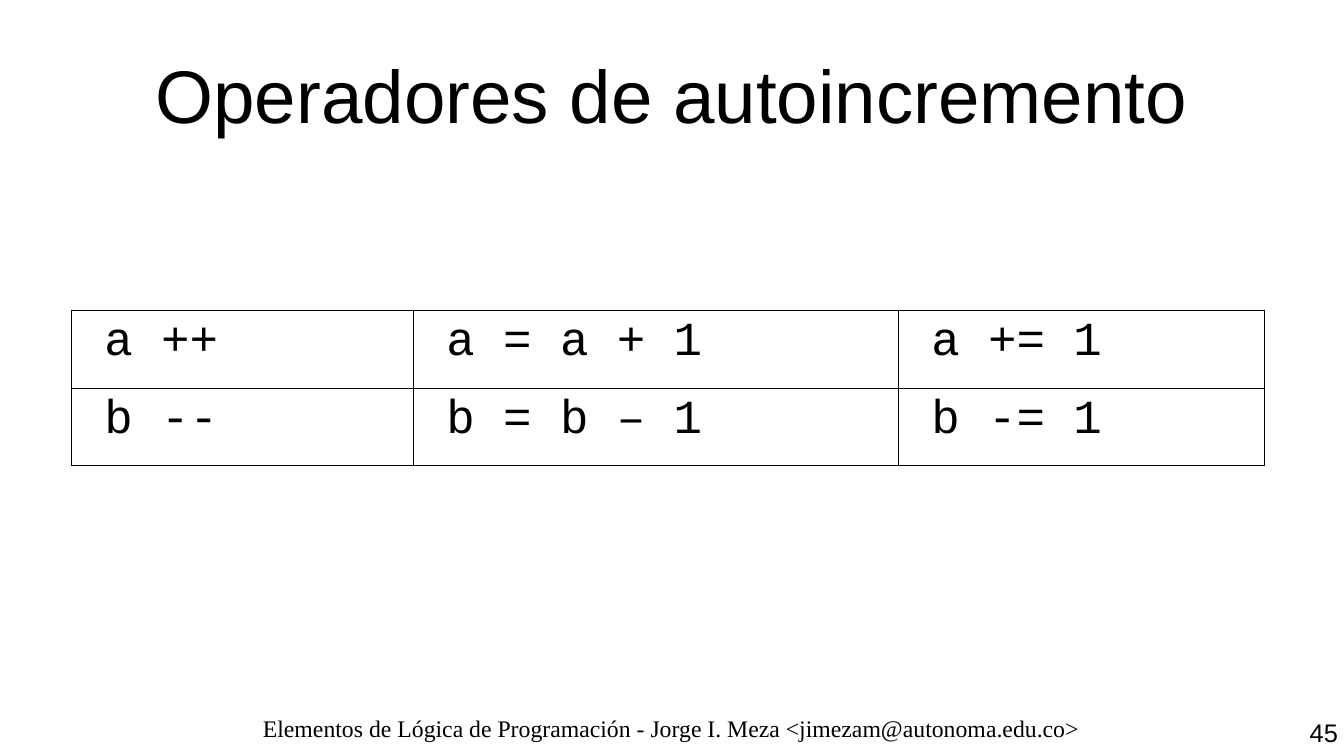
import pptx
import pptx.util
import pptx.dml.color
import pptx.enum.text
import pptx.oxml
import pptx.oxml.ns

TITLE = "Operadores de autoincremento"
OPERATORS = [
    (" a ++", " a = a + 1", " a += 1"),
    (" b --", " b = b – 1", " b -= 1"),
]
FOOTER = "Elementos de Lógica de Programación - Jorge I. Meza <jimezam@autonoma.edu.co>"
PAGE_NUMBER = "45"

BLACK = pptx.dml.color.RGBColor(0, 0, 0)
ALIGN = pptx.enum.text.PP_ALIGN
ANCHOR = pptx.enum.text.MSO_ANCHOR
SLIDE_SIZE = (1344, 756)
TITLE_AREA = (67, 30, 1210, 127)
FOOTER_AREA = (62, 714, 1219, 52)
NUMBER_AREA = (1210, 711, 140, 45)
TABLE_ORIGIN = (71, 310)
COLUMN_WIDTHS = (342, 485, 366)
ROW_HEIGHT = 78
BORDER_WIDTH = pptx.util.Pt(0.57)


def px(length):
    return pptx.util.Emu(round(length * 914400 / 122))


def style(para, font_name, size, align):
    para.alignment = align
    para.font.name = font_name
    para.font.size = pptx.util.Pt(size)
    para.font.color.rgb = BLACK


def fill_box(box, area, text, font_name, size, align, anchor, insets=(0, 0)):
    box.left, box.top, box.width, box.height = map(px, area)
    frame = box.text_frame
    frame.word_wrap = True
    frame.auto_size = pptx.enum.text.MSO_AUTO_SIZE.NONE
    frame.vertical_anchor = anchor
    frame.margin_left = frame.margin_right = px(insets[0])
    frame.margin_top = frame.margin_bottom = px(insets[1])
    frame.text = text
    style(frame.paragraphs[0], font_name, size, align)


def add_borders(cell):
    properties = cell._tc.get_or_add_tcPr()
    for side in ("lnL", "lnR", "lnT", "lnB"):
        properties.append(pptx.oxml.parse_xml(
            f'<a:{side} {pptx.oxml.ns.nsdecls("a")} w="{BORDER_WIDTH}">'
            f'<a:solidFill><a:srgbClr val="{BLACK}"/></a:solidFill></a:{side}>'))


def add_operator_table(page):
    rows, columns = len(OPERATORS), len(COLUMN_WIDTHS)
    table = page.shapes.add_table(
        rows, columns, *map(px, TABLE_ORIGIN),
        px(sum(COLUMN_WIDTHS)), px(rows * ROW_HEIGHT)).table
    table.first_row = table.horz_banding = False
    for column, width in zip(table.columns, COLUMN_WIDTHS):
        column.width = px(width)
    for row, texts in zip(table.rows, OPERATORS):
        row.height = px(ROW_HEIGHT)
        for cell, text in zip(row.cells, texts):
            cell.margin_left = cell.margin_right = px(5)
            cell.margin_top = cell.margin_bottom = px(6)
            add_borders(cell)
            cell.fill.background()
            cell.text = text
            style(cell.text_frame.paragraphs[0], "Courier New", 28, ALIGN.LEFT)


def main():
    deck = pptx.Presentation()
    deck.slide_width, deck.slide_height = map(px, SLIDE_SIZE)
    page = deck.slides.add_slide(deck.slide_layouts[5])
    fill_box(page.shapes.title, TITLE_AREA, TITLE, "Arial", 44,
             ALIGN.CENTER, ANCHOR.MIDDLE)
    add_operator_table(page)
    footer = page.shapes.add_textbox(0, 0, 0, 0)
    fill_box(footer, FOOTER_AREA, FOOTER, "Times New Roman", 14,
             ALIGN.CENTER, ANCHOR.TOP)
    number = page.shapes.add_textbox(0, 0, 0, 0)
    fill_box(number, NUMBER_AREA, PAGE_NUMBER, "Arial", 15,
             ALIGN.RIGHT, ANCHOR.TOP, (12, 6))
    deck.save("out.pptx")


if __name__ == "__main__":
    main()
